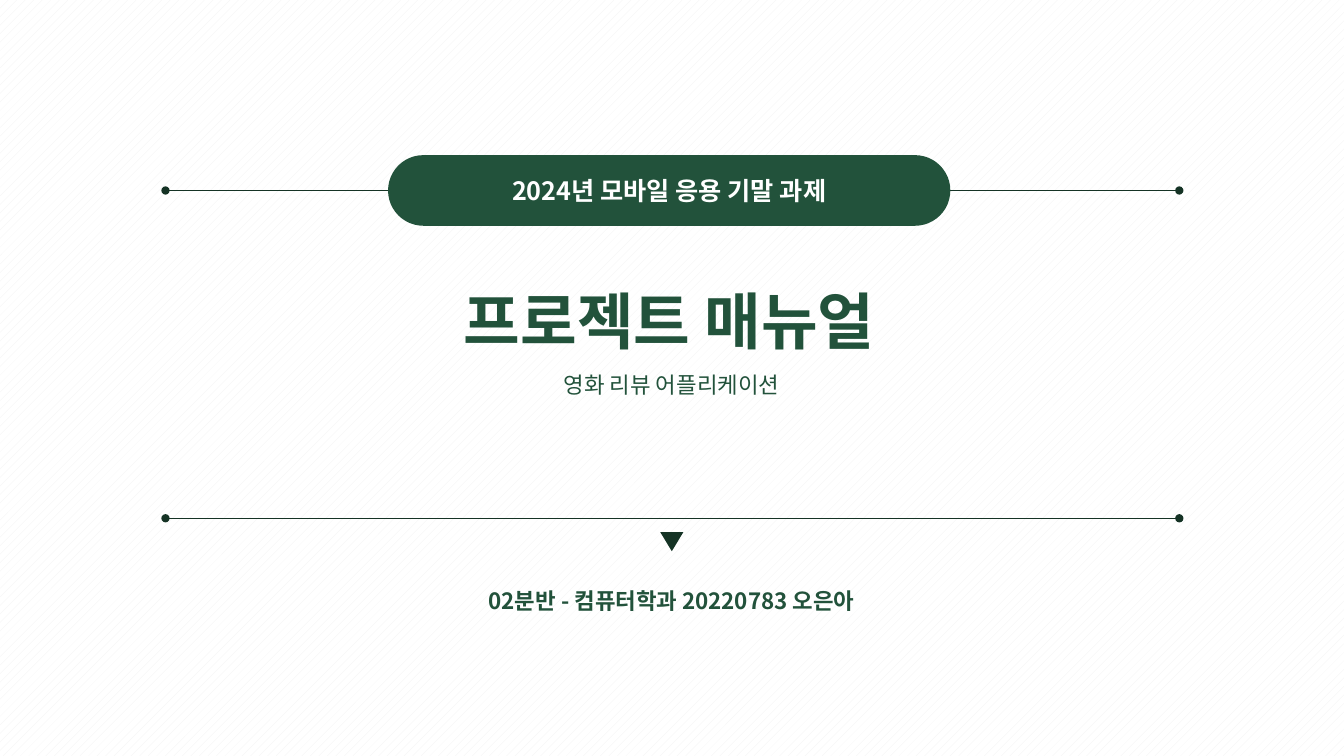
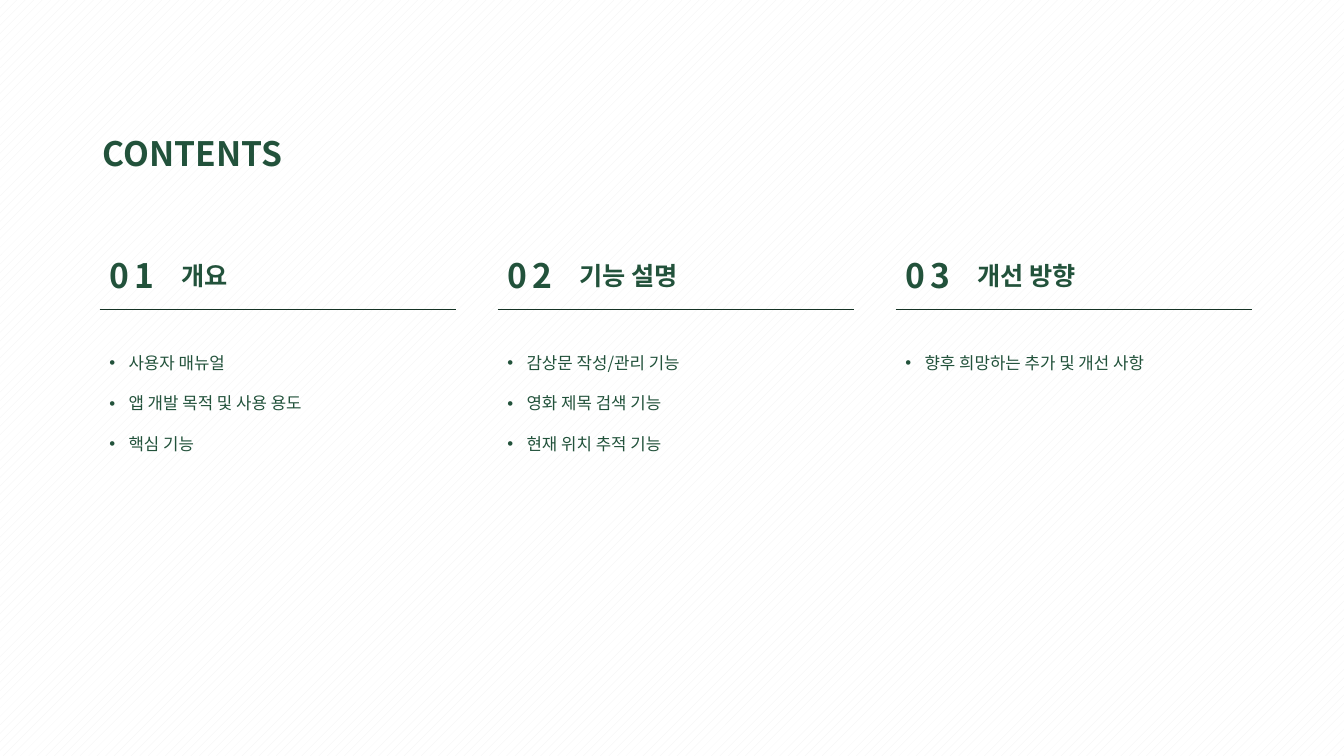
from dataclasses import dataclass

from pptx import Presentation
from pptx import util as u
from pptx.dml.color import RGBColor
from pptx.enum import dml, shapes, text
from pptx.oxml import ns
from lxml import etree

COVER = {
    "course": "2024년 모바일 응용 기말 과제",
    "title": "프로젝트 매뉴얼",
    "subtitle": "영화 리뷰 어플리케이션",
    "author": "02분반 - 컴퓨터학과 20220783 오은아",
}
CONTENTS_TITLE = "CONTENTS"
SECTIONS = [
    ("개요", ["사용자 매뉴얼", "앱 개발 목적 및 사용 용도", "핵심 기능"]),
    ("기능 설명", ["감상문 작성/관리 기능", "영화 제목 검색 기능", "현재 위치 추적 기능"]),
    ("개선 방향", ["향후 희망하는 추가 및 개선 사항"]),
]


@dataclass(frozen=True)
class Theme:
    font: str = "Noto Sans CJK KR"
    green: RGBColor = RGBColor(0x22, 0x52, 0x3B)
    dark: RGBColor = RGBColor(0x15, 0x33, 0x25)
    white: RGBColor = RGBColor(0xFF, 0xFF, 0xFF)
    pale: RGBColor = RGBColor(0xF2, 0xF2, 0xF2)
    title: int = 44
    heading: int = 24
    subheading: int = 18
    caption: int = 16
    digit_gap: int = 14
    body: int = 12


THEME = Theme()
SLIDE_WIDTH, SLIDE_HEIGHT = 33.87, 19.05
RULE_LEFT, RULE_RIGHT = 4.17, 29.72
COLUMN_LEFT, COLUMN_WIDTH, COLUMN_PITCH = 2.51, 8.99, 10.03
NUMBER_OFFSET, HEADING_OFFSET = -0.2, 1.81
BULLET_INDENT = 0.48
CENTER = text.PP_ALIGN.CENTER


def style_run(run, size, color=THEME.green, bold=False):
    run.font.size = u.Pt(size)
    run.font.bold = bold
    run.font.color.rgb = color
    run.font.name = THEME.font
    east_asian = etree.SubElement(run.font._element, ns.qn("a:ea"))
    east_asian.set("typeface", THEME.font)


def style_frame(frame, size, color=THEME.green, bold=False, align=None):
    for paragraph in frame.paragraphs:
        paragraph.alignment = align
        for run in paragraph.runs:
            style_run(run, size, color, bold)


def add_text(slide, box, content, size, bold=False, align=CENTER):
    shape = slide.shapes.add_textbox(*map(u.Cm, box))
    frame = shape.text_frame
    frame.word_wrap = True
    frame.auto_size = text.MSO_AUTO_SIZE.SHAPE_TO_FIT_TEXT
    frame.text = content
    style_frame(frame, size, bold=bold, align=align)
    return frame


def add_solid(slide, preset, box, color):
    shape = slide.shapes.add_shape(preset, *map(u.Cm, box))
    shape.shadow.inherit = False
    shape.fill.solid()
    shape.fill.fore_color.rgb = color
    shape.line.fill.background()
    return shape


def add_rule(slide, left, right, top, width, dotted=False):
    rule = slide.shapes.add_connector(
        shapes.MSO_CONNECTOR.STRAIGHT, *map(u.Cm, (left, top, right, top)))
    rule.line.color.rgb = THEME.dark
    rule.line.width = u.Pt(width)
    if dotted:
        for end in ("a:headEnd", "a:tailEnd"):
            etree.SubElement(rule.line._get_or_add_ln(), ns.qn(end)).set("type", "oval")
    etree.SubElement(rule._element.spPr, ns.qn("a:effectLst"))


def add_number(slide, box, number):
    frame = add_text(slide, box, "", THEME.heading)
    paragraph = frame.paragraphs[0]
    tens, ones = f"{number:02d}"
    for characters, size in ((tens, THEME.heading), (" ", THEME.digit_gap), (ones, THEME.heading)):
        run = paragraph.add_run()
        run.text = characters
        style_run(run, size, bold=True)


def add_bullets(slide, box, items):
    frame = add_text(slide, box, "\n".join(items), THEME.body, align=None)
    for paragraph in frame.paragraphs:
        properties = paragraph._p.get_or_add_pPr()
        properties.set("marL", str(u.Cm(BULLET_INDENT)))
        properties.set("indent", str(-u.Cm(BULLET_INDENT)))
        etree.SubElement(properties, ns.qn("a:buFont")).set("typeface", "Arial")
        etree.SubElement(properties, ns.qn("a:buChar")).set("char", "•")
        paragraph.line_spacing = 2.0


def set_background(master):
    fill = master.background.fill
    fill.patterned()
    fill.pattern = dml.MSO_PATTERN.PERCENT_20
    fill.fore_color.rgb = THEME.pale
    fill.back_color.rgb = THEME.white


def build_cover(slide):
    add_rule(slide, RULE_LEFT, RULE_RIGHT, 4.8, 0.25, dotted=True)
    pill = add_solid(slide, shapes.MSO_SHAPE.ROUNDED_RECTANGLE, (9.78, 3.91, 14.17, 1.78), THEME.green)
    pill.adjustments[0] = 0.5
    pill.text_frame.text = COVER["course"]
    pill.text_frame.vertical_anchor = text.MSO_ANCHOR.MIDDLE
    style_frame(pill.text_frame, THEME.subheading, THEME.white, True, CENTER)
    add_text(slide, (8.41, 7.01, 16.92, 2.13), COVER["title"], THEME.title, bold=True)
    add_text(slide, (11.5, 9.22, 10.85, 0.94), COVER["subtitle"], THEME.caption)
    add_rule(slide, RULE_LEFT, RULE_RIGHT, 13.06, 0.25, dotted=True)
    pointer = add_solid(slide, shapes.MSO_SHAPE.ISOSCELES_TRIANGLE, (16.64, 13.41, 0.58, 0.48), THEME.dark)
    pointer.rotation = 180
    add_text(slide, (11.5, 14.66, 10.85, 0.94), COVER["author"], THEME.caption, bold=True)


def build_contents(slide):
    add_text(slide, (2.31, 3.23, 5.08, 1.27), CONTENTS_TITLE, THEME.heading, bold=True)
    for index, (heading, items) in enumerate(SECTIONS):
        left = COLUMN_LEFT + index * COLUMN_PITCH
        add_number(slide, (left + NUMBER_OFFSET, 6.3, 2.03, 1.27), index + 1)
        add_rule(slide, left, left + COLUMN_WIDTH, 7.8, 0.5)
        add_text(slide, (left + HEADING_OFFSET, 6.43, 6.68, 1.02), heading,
                 THEME.subheading, bold=True, align=None)
        add_bullets(slide, (left, 8.26, COLUMN_WIDTH, 0.1 + 1.37 * len(items)), items)


def main():
    presentation = Presentation()
    presentation.slide_width = u.Cm(SLIDE_WIDTH)
    presentation.slide_height = u.Cm(SLIDE_HEIGHT)
    set_background(presentation.slide_master)
    for build in (build_cover, build_contents):
        build(presentation.slides.add_slide(presentation.slide_layouts[6]))
    presentation.save("out.pptx")


if __name__ == "__main__":
    main()
